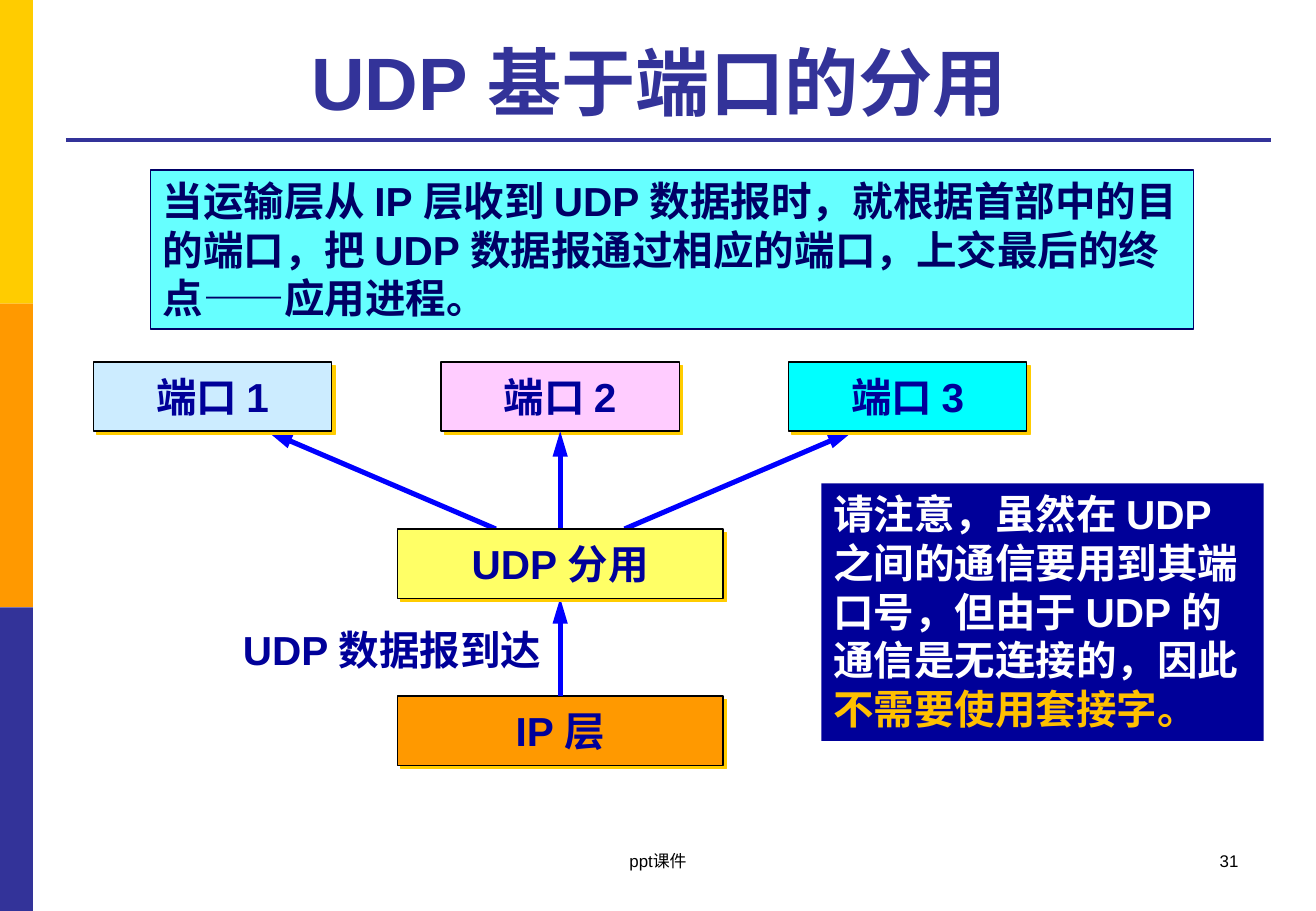
from pptx import Presentation
from pptx.dml.color import RGBColor
from pptx.enum.lang import MSO_LANGUAGE_ID
from pptx.enum.shapes import MSO_CONNECTOR, MSO_SHAPE
from pptx.enum.text import MSO_ANCHOR, PP_ALIGN
from pptx.oxml import parse_xml
from pptx.oxml.ns import nsdecls
from pptx.util import Inches, Pt

THEME = {
    "font": "Arial", "title": 44, "body": 24, "small": 10,
    "gold": "FFCC00", "orange": "FF9900", "indigo": "333399",
    "navy": "000099", "deep": "000066", "black": "000000", "white": "FFFFFF",
    "aqua": "66FFFF", "sky": "CCECFF", "pink": "FFCCFF", "cyan": "00FFFF",
    "lemon": "FFFF66", "arrow": "0000FF", "amber": "FFC000",
}
LEFT, CENTER, RIGHT = PP_ALIGN.LEFT, PP_ALIGN.CENTER, PP_ALIGN.RIGHT
TOP, MIDDLE, BOTTOM = MSO_ANCHOR.TOP, MSO_ANCHOR.MIDDLE, MSO_ANCHOR.BOTTOM
WIDTH, HEIGHT = 10.83, 7.5

deck = Presentation()
deck.slide_width, deck.slide_height = Inches(WIDTH), Inches(HEIGHT)
page = deck.slides.add_slide(deck.slide_layouts[6])


def add_box(text, *, at, fill=None, line=None, color="navy", size="body",
            bold=True, align=LEFT, anchor=TOP, wrap=True, shadow=False, accent=""):
    """Add a text box, or a rectangle when a fill is given."""
    place = [Inches(value) for value in at]
    if fill:
        box = page.shapes.add_shape(MSO_SHAPE.RECTANGLE, *place)
        box.shadow.inherit = False
        box.fill.solid()
        box.fill.fore_color.rgb = RGBColor.from_string(THEME[fill])
        if line:
            box.line.color.rgb = RGBColor.from_string(THEME[line])
            box.line.width = Pt(0.75)
        else:
            box.line.fill.background()
    else:
        box = page.shapes.add_textbox(*place)
    if shadow:
        box._element.spPr.find("{*}effectLst").append(parse_xml(
            f'<a:outerShdw {nsdecls("a")} dist="{Pt(2.8)}" dir="2700000" algn="ctr" '
            f'rotWithShape="0"><a:srgbClr val="{THEME["gold"]}"/></a:outerShdw>'))
    frame = box.text_frame
    frame.word_wrap, frame.vertical_anchor = wrap, anchor
    para = frame.paragraphs[0]
    para.alignment = align
    for words, tone in ((text, color), (accent, "amber")):
        if words:
            span = para.add_run()
            span.text = words
            font = span.font
            font.name, font.size, font.bold = THEME["font"], Pt(THEME[size]), bold
            font.color.rgb = RGBColor.from_string(THEME[tone])
            font.language_id = MSO_LANGUAGE_ID.SIMPLIFIED_CHINESE


def add_line(start, end, *, color, width, arrow=False):
    line = page.shapes.add_connector(
        MSO_CONNECTOR.STRAIGHT, *[Inches(value) for value in (*start, *end)])
    line.line.color.rgb = RGBColor.from_string(THEME[color])
    line.line.width = Pt(width)
    if arrow:
        line.line._get_or_add_ln().append(parse_xml(
            f'<a:tailEnd {nsdecls("a")} type="triangle" w="med" len="lg"/>'))
    line._element.spPr.append(parse_xml(f'<a:effectLst {nsdecls("a")}/>'))


# Side band in three equal parts
for index, color in enumerate(("gold", "orange", "indigo")):
    add_box("", at=(0, index * HEIGHT / 3, WIDTH / 40, HEIGHT / 3), fill=color)

# Title and rule
margin = WIDTH / 20
add_line((margin, 1.15), (10.46, 1.15), color="indigo", width=2.25)
add_box("UDP 基于端口的分用 ", at=(margin, 0.21, 9.91, 0.87), color="indigo",
        size="title", align=CENTER, anchor=BOTTOM)

# Diagram grid: three port columns, three rows
axis, column_step, box_height = 4.61, 2.86, 0.57
port_width, layer_width = 1.96, 2.68
port_row, demux_row, ip_row = [2.98 + 1.375 * row for row in range(3)]
node = {"line": "black", "align": CENTER, "anchor": MIDDLE, "wrap": False, "shadow": True}
nodes = [
    ("IP 层", 0, ip_row, layer_width, "orange"),
    ("端口 2", 0, port_row, port_width, "pink"),
    ("端口 3", 1, port_row, port_width, "cyan"),
    ("端口 1", -1, port_row, port_width, "sky"),
    ("UDP 分用", 0, demux_row, layer_width, "lemon"),
]

# Arrows lie over the first two boxes and under the others
for index, (text, column, top, width, fill) in enumerate(nodes):
    if index == 2:
        add_box("UDP 数据报到达", at=(1.9, 5.1, 2.69, 0.51))
        add_line((axis, ip_row), (axis, demux_row + box_height),
                 color="arrow", width=3, arrow=True)
        for side in (0, 1, -1):
            add_line((axis + side * 0.53, demux_row),
                     (axis + side * 2.41, port_row + box_height),
                     color="arrow", width=3, arrow=True)
    left = axis + column * column_step - width / 2
    add_box(text, at=(left, top, width, box_height), fill=fill, **node)

# Explanation and note
add_box("当运输层从 IP 层收到 UDP 数据报时，就根据首部中的目的端口，"
        "把 UDP 数据报通过相应的端口，上交最后的终点——应用进程。",
        at=(1.24, 1.4, 8.58, 1.31), fill="aqua", line="deep", color="deep")
add_box("请注意，虽然在 UDP 之间的通信要用到其端口号，但由于 UDP 的通信是无连接的，因此",
        at=(6.76, 3.98, 3.64, 2.12), fill="navy", color="white",
        accent="不需要使用套接字。")

# Footer
footer = {"color": "black", "size": "small", "bold": False}
add_box("31", at=(7.76, 6.95, 2.53, 0.5), align=RIGHT, **footer)
add_box("ppt课件", at=(3.7, 6.95, 3.43, 0.5), align=CENTER, **footer)

deck.save("out.pptx")
